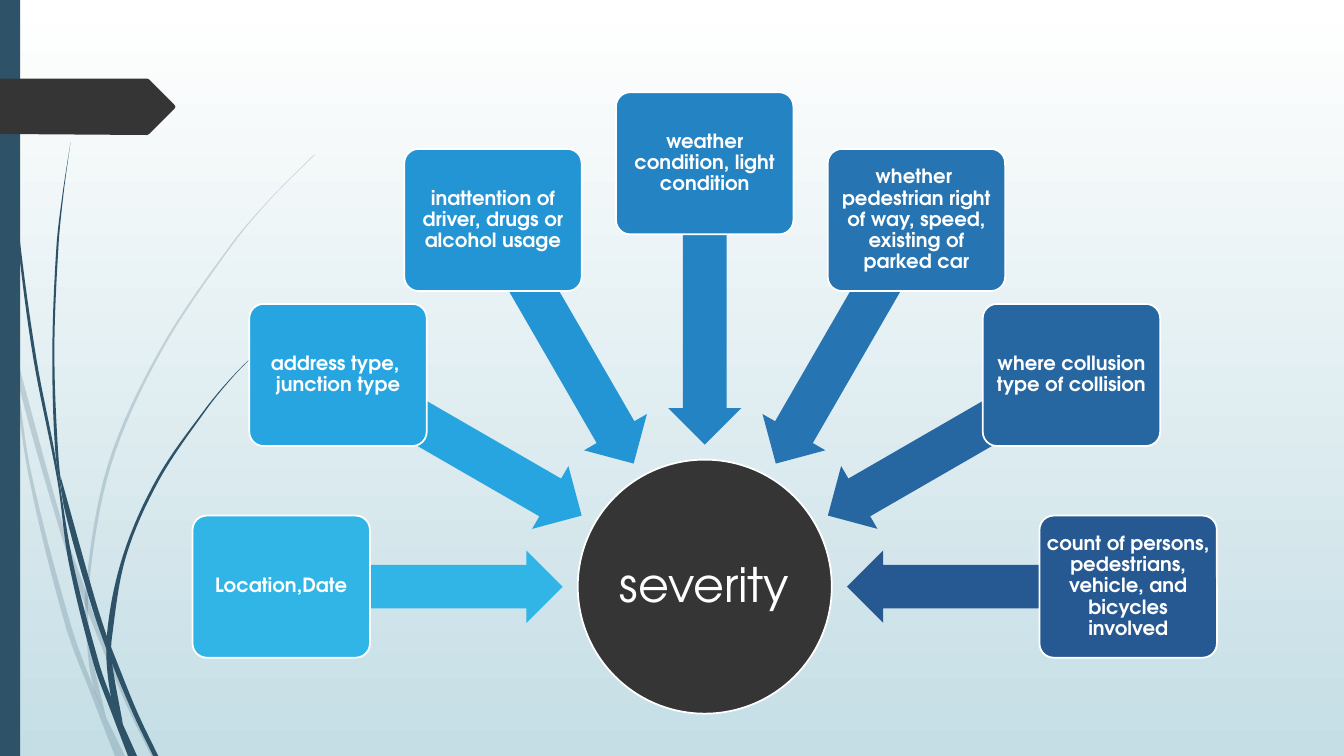
from math import cos, dist, radians, sin

from lxml import etree
from pptx import Presentation
from pptx.dml.color import RGBColor
from pptx.enum.shapes import MSO_SHAPE
from pptx.enum.text import MSO_ANCHOR, PP_ALIGN
from pptx.oxml.ns import qn
from pptx.util import Inches, Pt

RECT, OVAL = MSO_SHAPE.RECTANGLE, MSO_SHAPE.OVAL
ROUND, ARROW = MSO_SHAPE.ROUNDED_RECTANGLE, MSO_SHAPE.LEFT_ARROW
MIDDLE, CENTER = MSO_ANCHOR.MIDDLE, PP_ALIGN.CENTER

FONT = "TeX Gyre Adventor"
COLORS = {"white": "FFFFFF", "mist": "C5DEE5", "navy": "2E5369", "dark": "353535"}

# Hub centre and the radii of the rings of boxes and arrows, in inches
HUB_X, HUB_Y = 6.99, 5.82
BOX_RING, ARROW_RING = 4.2, 2.8

FACTORS = [
    ("Location,Date", "31B4E6"),
    (" address type, junction type", "27A5E0"),
    ("inattention of driver, drugs or alcohol usage", "2395D4"),
    ("weather condition, light condition", "2483C3"),
    (" whether pedestrian right of way, speed, existing of parked car", "2674B1"),
    ("where collusion type of collision", "2666A1"),
    ("count of persons, pedestrians, vehicle, and bicycles involved", "265991"),
]

# Each stalk is its two edges, both from top to bottom
PALE_STALKS = [
    ([(0, 2.99), (0.11, 3.5), (0.28, 4.7), (0.65, 6.21), (0.92, 6.93), (1.14, 7.5)],
     [(0, 2.82), (0.09, 3.22), (0.17, 3.76), (0.31, 4.69), (0.7, 6.19),
      (0.93, 6.83), (1.05, 7.11), (1.24, 7.5)]),
    ([(0.14, 3.45), (0.17, 3.76), (0.58, 5.22), (0.84, 5.99), (1.23, 6.94), (1.5, 7.5)],
     [(0.14, 3.45), (0.62, 5.2), (0.85, 5.86), (0.92, 6.07), (1.27, 6.92), (1.55, 7.5)]),
    ([(3.12, 1.53), (2.68, 1.97), (2.28, 2.44), (1.58, 3.48), (1.07, 4.61),
      (0.85, 5.84), (0.87, 6.46), (0.93, 6.83), (1.05, 7.11)],
     [(3.12, 1.54), (2.68, 1.98), (2.29, 2.45), (1.6, 3.49), (1.1, 4.62),
      (0.88, 5.84), (0.91, 6.46), (1.05, 7.11)]),
]
DARK_STALKS = [
    ([(0.03, 0), (0.07, 1.1), (0.17, 2.33), (0.33, 3.55), (0.57, 4.77),
      (0.68, 5.57), (0.93, 6.59), (1.11, 7.08), (1.27, 7.5)],
     [(0.04, 0), (0.08, 1.09), (0.19, 2.32), (0.36, 3.55), (0.55, 4.53),
      (0.72, 5.56), (0.98, 6.57), (1.1, 6.91), (1.36, 7.5)]),
    ([(0.6, 4.72), (0.64, 5.05), (0.88, 5.92), (1.06, 6.45), (1.32, 7.08), (1.52, 7.5)],
     [(0.6, 4.72), (0.93, 5.9), (1.06, 6.31), (1.13, 6.49), (1.36, 7.06), (1.57, 7.5)]),
    ([(0.7, 1.41), (0.62, 1.93), (0.56, 2.45), (0.52, 3.49), (0.55, 4.49), (0.64, 5.05)],
     [(0.7, 1.41), (0.63, 1.93), (0.58, 2.45), (0.54, 3.49), (0.58, 4.53), (0.64, 5.05)]),
    ([(2.6, 3.44), (2.31, 3.73), (2.04, 4.05), (1.56, 4.74), (1.22, 5.51),
      (1.06, 6.31), (1.1, 6.91), (1.22, 7.19)],
     [(2.6, 3.44), (2.31, 3.74), (2.05, 4.06), (1.58, 4.76), (1.25, 5.52),
      (1.11, 6.33), (1.11, 6.56), (1.22, 7.19)]),
]
TAG = [(0, 0.78), (1.46, 0.78), (1.48, 0.79), (1.73, 1.04), (1.74, 1.06),
       (1.73, 1.08), (1.48, 1.33), (1.46, 1.34), (0, 1.33)]


def paint(shape, color, edge=None):
    shape.shadow.inherit = False
    shape.fill.solid()
    shape.fill.fore_color.rgb = RGBColor.from_string(color)
    if edge:
        shape.line.color.rgb = RGBColor.from_string(edge)
        shape.line.width = Pt(1.25)
    else:
        shape.line.fill.background()


def add_centred(slide, kind, mid, size, color, edge=None):
    (x, y), (wide, high) = mid, size
    shape = slide.shapes.add_shape(
        kind, Inches(x - wide / 2), Inches(y - high / 2), Inches(wide), Inches(high))
    paint(shape, color, edge)
    return shape


def write(shape, text, size, bold, inset):
    frame = shape.text_frame
    frame.word_wrap = True
    frame.vertical_anchor = MIDDLE
    frame.margin_left = frame.margin_right = Inches(inset)
    frame.margin_top = frame.margin_bottom = Inches(inset)
    par = frame.paragraphs[0]
    par.text = text
    par.alignment = CENTER
    par.line_spacing = 0.9
    par.font.name, par.font.size, par.font.bold = FONT, Pt(size), bold
    par.font.color.rgb = RGBColor.from_string(COLORS["white"])
    par._p.get_or_add_pPr().set("rtl", "1")


def smooth(knots, steps=8):
    """Points of a Hermite curve through the knots, timed by chord length."""
    times = [0]
    for a, b in zip(knots, knots[1:]):
        times.append(times[-1] + dist(a, b))
    last = len(knots) - 1

    def slope(i, axis):
        lo, hi = max(i - 1, 0), min(i + 1, last)
        return (knots[hi][axis] - knots[lo][axis]) / (times[hi] - times[lo])

    def place(i, u, axis):
        span = times[i + 1] - times[i]
        return ((2 * u**3 - 3 * u**2 + 1) * knots[i][axis]
                + (3 * u**2 - 2 * u**3) * knots[i + 1][axis]
                + (u**3 - 2 * u**2 + u) * span * slope(i, axis)
                + (u**3 - u**2) * span * slope(i + 1, axis))

    curve = [(place(i, n / steps, 0), place(i, n / steps, 1))
             for i in range(last) for n in range(steps)]
    return curve + [knots[-1]]


def add_outline(slide, points, color, alpha=None):
    spots = [(Inches(x), Inches(y)) for x, y in points]
    pen = slide.shapes.build_freeform(*spots[0])
    pen.add_line_segments(spots[1:], close=True)
    shape = pen.convert_to_shape()
    paint(shape, color)
    if alpha:
        tint = shape.element.spPr.find(".//" + qn("a:srgbClr"))
        etree.SubElement(tint, qn("a:alpha")).set("val", str(alpha * 1000))


def add_stalks(slide, stalks, alpha=None):
    for left, right in stalks:
        add_outline(slide, smooth(left) + smooth(right)[::-1], COLORS["navy"], alpha)


def set_backdrop(slide):
    fill = slide.background.fill
    fill.gradient()
    fill.gradient_angle = 270
    for stop, name, pos in zip(fill.gradient_stops, ("white", "mist"), (0, 1)):
        stop.color.rgb = RGBColor.from_string(COLORS[name])
        stop.position = pos


def add_factor(slide, text, color, angle):
    def ring(radius):
        turn = radians(angle)
        return HUB_X - radius * cos(turn), HUB_Y - radius * sin(turn)

    arrow = add_centred(slide, ARROW, ring(ARROW_RING), (2.78, 0.72), color)
    arrow.adjustments[0], arrow.adjustments[1] = 0.6, 0.5
    arrow.rotation = (180 + angle) % 360
    box = add_centred(slide, ROUND, ring(BOX_RING), (1.76, 1.41), color, COLORS["white"])
    box.adjustments[0] = 0.1
    write(box, text, 14, True, 0.03)


def main():
    deck = Presentation()
    deck.slide_width, deck.slide_height = Inches(13.33), Inches(7.5)
    slide = deck.slides.add_slide(deck.slide_layouts[6])

    # Backdrop, stalks, side bar and tag
    set_backdrop(slide)
    add_stalks(slide, PALE_STALKS, alpha=20)
    add_stalks(slide, DARK_STALKS)
    add_centred(slide, RECT, (0.1, 3.75), (0.2, 7.5), COLORS["navy"])
    add_outline(slide, TAG, COLORS["dark"])

    # Hub with the factors fanned around it
    hub = add_centred(slide, OVAL, (HUB_X, HUB_Y), (2.52, 2.52),
                      COLORS["dark"], COLORS["white"])
    write(hub, "severity", 34, False, 0.02)
    for i, (text, color) in enumerate(FACTORS):
        add_factor(slide, text, color, 30 * i)

    deck.save("out.pptx")


if __name__ == "__main__":
    main()
